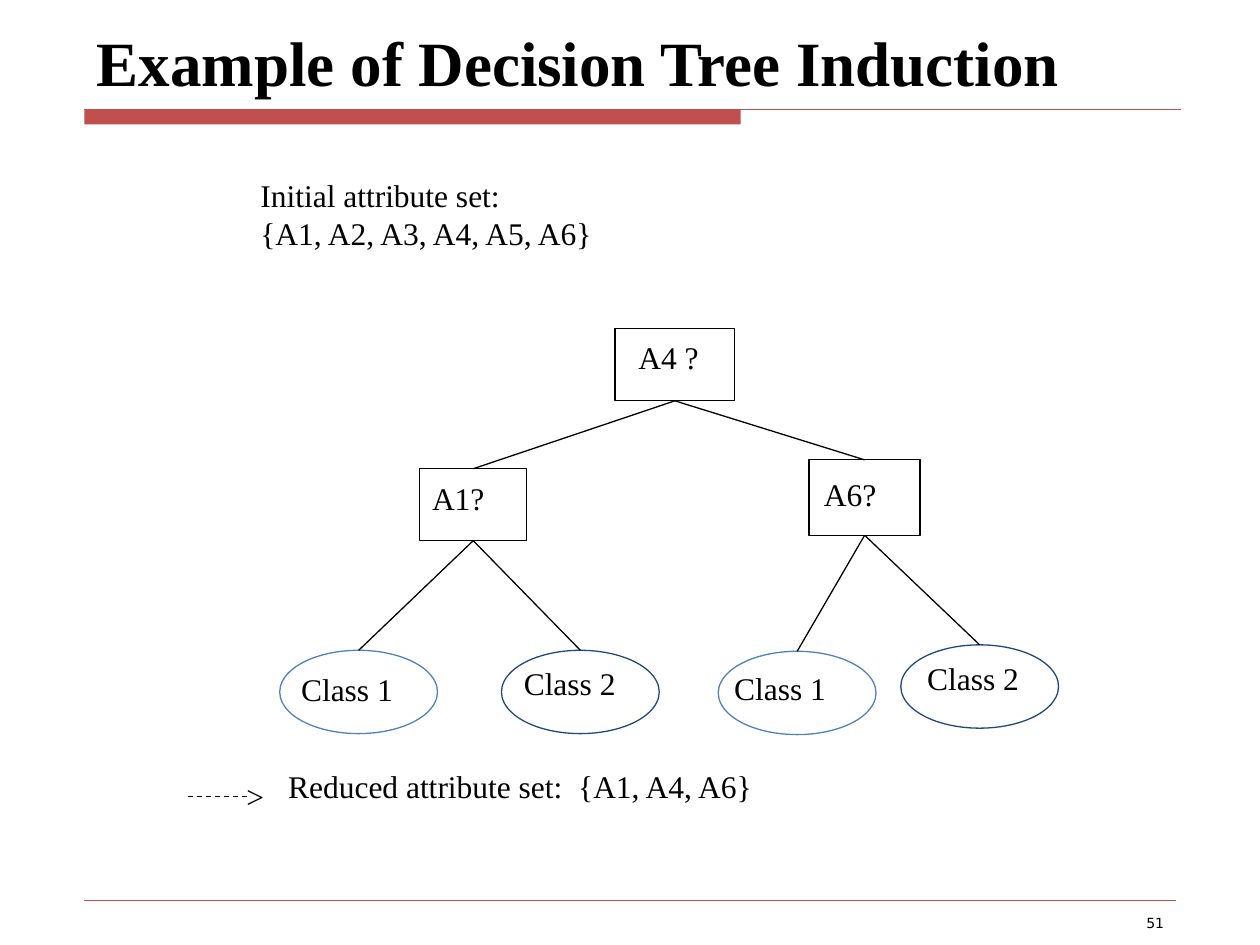
from lxml.etree import SubElement
from pptx import Presentation
from pptx.dml.color import RGBColor
from pptx.enum.dml import MSO_LINE
from pptx.enum.shapes import MSO_CONNECTOR, MSO_SHAPE
from pptx.enum.text import MSO_ANCHOR, MSO_AUTO_SIZE, PP_ALIGN
from pptx.oxml.ns import qn
from pptx.util import Cm, Pt

COLORS = {"ink": "000000", "accent": "C0504D", "class 1": "4F81BD", "class 2": "1F497D"}
SERIF, SANS = "Times New Roman", "DejaVu Sans"
TITLE = "Example of Decision Tree Induction"
TEXTS = [
    (["Initial attribute set:", "{A1, A2, A3, A4, A5, A6}"], (5, 3.43, 9.65, 2.29)),
    (["Reduced attribute set:  {A1, A4, A6}"], (5.56, 15.34, 13.08, 1.27)),
]
# name: (label, left, top, width, height), label left and top
TESTS = {
    "A4": ("A4 ?", (12.4, 6.63, 2.41, 1.45), (12.62, 6.68)),
    "A1": ("A1?", (8.46, 9.45, 2.16, 1.45), (8.46, 9.53)),
    "A6": ("A6?", (16.31, 9.27, 2.24, 1.52), (16.36, 9.45)),
}
LEAVES = {
    "A1 left": ("Class 1", (5.64, 13.11), (5.82, 13.39)),
    "A1 right": ("Class 2", (10.11, 13.11), (10.31, 13.26)),
    "A6 left": ("Class 1", (14.48, 13.13), (14.55, 13.36)),
    "A6 right": ("Class 2", (18.16, 13), (18.44, 13.16)),
}
LEAF_SIZE = (3.18, 1.68)
LABEL_SIZE = (2.97, 1.27)
BRANCHES = {"A4": ["A1", "A6"], "A1": ["A1 left", "A1 right"], "A6": ["A6 left", "A6 right"]}
TOP, BOTTOM = 0, 2


def color(name):
    """Return the named colour."""
    return RGBColor.from_string(COLORS[name])


def write(frame, lines, size=18, font=SERIF, bold=False, align=PP_ALIGN.LEFT):
    """Write one paragraph per line into a text frame."""
    frame.word_wrap = True
    frame.auto_size = MSO_AUTO_SIZE.NONE
    for number, line in enumerate(lines):
        para = frame.add_paragraph() if number else frame.paragraphs[0]
        para.alignment = align
        span = para.add_run()
        span.text = line
        span.font.size, span.font.name, span.font.bold = Pt(size), font, bold
        span.font.color.rgb = color("ink")


def add_text(shapes, lines, place, **style):
    """Add a text box."""
    box = shapes.add_textbox(*map(Cm, place))
    write(box.text_frame, lines, **style)


def add_outline(shapes, kind, place, line_color):
    """Add an unfilled shape with a thin outline."""
    shape = shapes.add_shape(kind, *map(Cm, place))
    shape.shadow.inherit = False
    shape.fill.background()
    shape.line.color.rgb = color(line_color)
    shape.line.width = Pt(0.75)
    return shape


def add_line(shapes, ends=(0, 0, 0, 0), line_color="ink", width=0.75):
    """Add a straight line without a shadow."""
    line = shapes.add_connector(MSO_CONNECTOR.STRAIGHT, *map(Cm, ends))
    line.line.color.rgb = color(line_color)
    line.line.width = Pt(width)
    SubElement(line._element.spPr, qn("a:effectLst"))
    return line


def add_frame(page):
    """Add the title, its banner and the footer."""
    title = page.shapes.title
    title.left, title.top, title.width, title.height = map(Cm, (1.7, 0.53, 22.2, 1.6))
    write(title.text_frame, [TITLE], size=36, bold=True)
    title.text_frame.vertical_anchor = MSO_ANCHOR.BOTTOM
    bar = page.shapes.add_shape(MSO_SHAPE.RECTANGLE, *map(Cm, (1.7, 2.21, 13.23, 0.3)))
    bar.shadow.inherit = False
    bar.fill.solid()
    bar.fill.fore_color.rgb = color("accent")
    bar.line.fill.background()
    add_line(page.shapes, (1.7, 2.21, 23.8, 2.21), "accent")
    add_line(page.shapes, (1.7, 18.14, 23.7, 18.14), "accent", 0.25)
    add_text(page.shapes, ["51"], (18.21, 18.31, 5.51, 0.53),
             size=8, font=SANS, align=PP_ALIGN.RIGHT)


def add_tree(shapes):
    """Add the tests, the classes and the branches that join them."""
    nodes = {}
    for name, (label, place, label_at) in TESTS.items():
        nodes[name] = add_outline(shapes, MSO_SHAPE.RECTANGLE, place, "ink")
        add_text(shapes, [label], label_at + LABEL_SIZE)
    for name, (label, corner, label_at) in LEAVES.items():
        nodes[name] = add_outline(shapes, MSO_SHAPE.OVAL, corner + LEAF_SIZE, label.lower())
        add_text(shapes, [label], label_at + LABEL_SIZE)
    for parent, children in BRANCHES.items():
        for child in children:
            branch = add_line(shapes)
            branch.begin_connect(nodes[parent], BOTTOM)
            branch.end_connect(nodes[child], TOP)


def main():
    """Build the slide and save it."""
    deck = Presentation()
    deck.slide_width, deck.slide_height = Cm(25.4), Cm(19.05)
    page = deck.slides.add_slide(deck.slide_layouts[5])
    add_frame(page)
    for lines, place in TEXTS:
        add_text(page.shapes, lines, place)
    add_tree(page.shapes)
    arrow = page.shapes.add_group_shape()
    shaft = add_line(arrow.shapes, (3.78, 16.05, 5, 16.05))
    shaft.line.dash_style = MSO_LINE.DASH
    add_text(arrow.shapes, [">"], (4.72, 15.54, 0.86, 1.02))
    deck.save("out.pptx")


if __name__ == "__main__":
    main()
